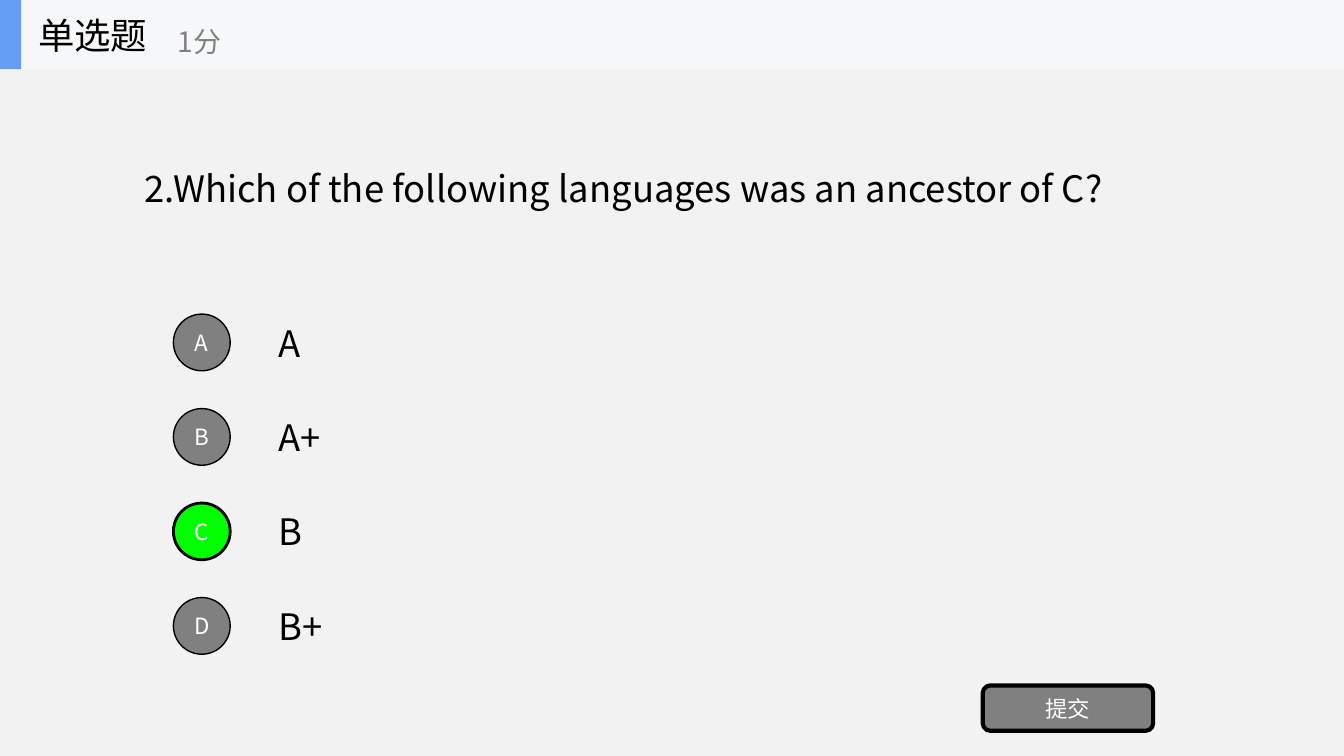
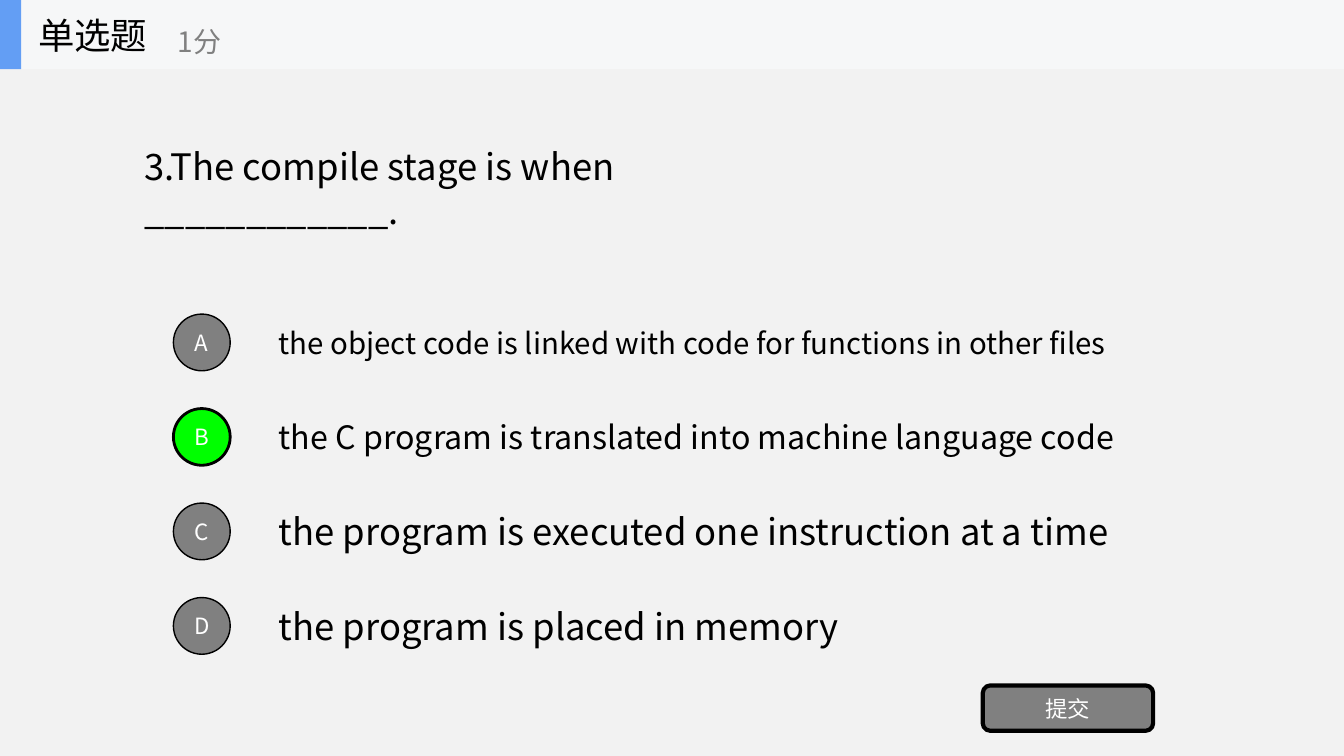
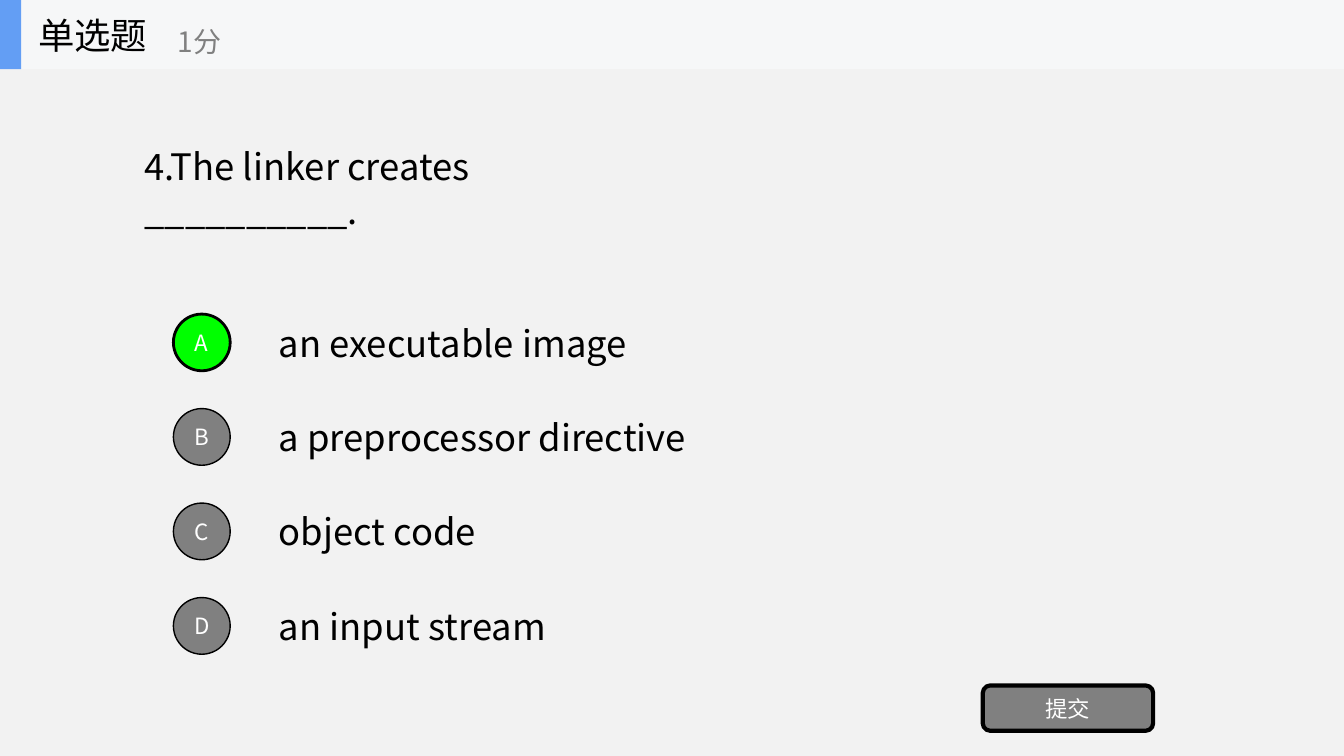
from lxml import etree
from pptx import Presentation
from pptx.dml.color import RGBColor
from pptx.enum.shapes import MSO_SHAPE
from pptx.enum.text import MSO_ANCHOR, MSO_AUTO_SIZE, PP_ALIGN
from pptx.oxml.ns import qn
from pptx.util import Inches, Pt

RECTANGLE = MSO_SHAPE.RECTANGLE
ROUNDED = MSO_SHAPE.ROUNDED_RECTANGLE
OVAL = MSO_SHAPE.OVAL
MIDDLE = MSO_ANCHOR.MIDDLE
LEFT, CENTER = PP_ALIGN.LEFT, PP_ALIGN.CENTER
FIT_SHAPE, NO_FIT = MSO_AUTO_SIZE.SHAPE_TO_FIT_TEXT, MSO_AUTO_SIZE.NONE

PAGE = RGBColor(0xF2, 0xF2, 0xF2)
BAND = RGBColor(0xF6, 0xF7, 0xF8)
ACCENT = RGBColor(0x63, 0x9E, 0xF4)
BLACK = RGBColor(0, 0, 0)
WHITE = RGBColor(0xFF, 0xFF, 0xFF)
GRAY = RGBColor(0x80, 0x80, 0x80)
CORRECT = RGBColor(0, 0xFF, 0)

FONT = "Noto Sans CJK SC"
WIDTH, HEIGHT = Inches(13.33), Inches(7.5)
COLUMNS, ROWS = 40, 24
BAND_ROWS = 2.2
QUESTION_COLUMN, QUESTION_CENTER = 4, 5.97
BADGE_COLUMN, BADGE_WIDTH, BADGE_ROWS = 5.16, 1.69, 1.8
OPTION_COLUMN, OPTION_TOP, OPTION_STEP = 8, 9.97, 3

QUIZ = [
    ("2.Which of the following languages was an ancestor of C?", 30.78, "C",
     [("A", 1.68, 26), ("A+", 2.49, 26), ("B", 1.62, 26), ("B+", 2.4, 26)]),
    ("3.The compile stage is when ____________.", 21.93, "B",
     [("the object code is linked with code for functions in other files", 26.52, 21),
      ("the C program is translated into machine language code", 26.73, 23),
      ("the program is executed one instruction at a time", 26.55, 26),
      ("the program is placed in memory", 18.24, 26)]),
    ("4.The linker creates __________.", 16.29, "A",
     [("an executable image", 11.61, 26), ("a preprocessor directive", 13.29, 26),
      ("object code", 7.02, 26), ("an input stream", 9.06, 26)]),
]


def write(frame, text, size=26, color=BLACK, align=LEFT, wrap=True, fit=NO_FIT):
    frame.word_wrap = wrap
    frame.auto_size = fit
    frame.vertical_anchor = MIDDLE
    paragraph = frame.paragraphs[0]
    paragraph.alignment = align
    run = paragraph.add_run()
    run.text = text
    run.font.size = Pt(size)
    run.font.color.rgb = color
    run.font.name = FONT
    east_asian = etree.SubElement(run._r.get_or_add_rPr(), qn("a:ea"))
    east_asian.set("typeface", FONT)


class QuizDeck:
    def __init__(self):
        self.deck = Presentation()
        self.deck.slide_width, self.deck.slide_height = WIDTH, HEIGHT
        background = self.deck.slide_master.background.fill
        background.solid()
        background.fore_color.rgb = PAGE
        self.shapes = None

    def place(self, column, row, columns, rows):
        return (round(column * WIDTH / COLUMNS), round(row * HEIGHT / ROWS),
                round(columns * WIDTH / COLUMNS), round(rows * HEIGHT / ROWS))

    def block(self, kind, area, fill, border=0, label=None):
        block = self.shapes.add_shape(kind, *self.place(*area))
        block.shadow.inherit = False
        block.fill.solid()
        block.fill.fore_color.rgb = fill
        if border:
            block.line.color.rgb = BLACK
            block.line.width = Pt(border)
        else:
            block.line.fill.background()
        if label:
            frame = block.text_frame
            frame.margin_left = frame.margin_right = 0
            write(frame, label, size=16, color=WHITE, align=CENTER)

    def text(self, text, area, **style):
        box = self.shapes.add_textbox(*self.place(*area))
        write(box.text_frame, text, **style)

    def line_of_text(self, text, column, center, columns, size=26):
        rows = (size * 1.2 / 72 + 0.1) * ROWS / HEIGHT.inches
        self.text(text, (column, center - rows / 2, columns, rows), size=size, fit=FIT_SHAPE)

    def option(self, index, letter, answer, columns, size, correct):
        top = OPTION_TOP + index * OPTION_STEP
        self.line_of_text(answer, OPTION_COLUMN, top + BADGE_ROWS / 2, columns, size)
        self.block(OVAL, (BADGE_COLUMN, top, BADGE_WIDTH, BADGE_ROWS),
                   CORRECT if correct else GRAY, border=2 if correct else 1, label=letter)

    def header(self):
        self.shapes = self.shapes.add_group_shape().shapes
        self.block(RECTANGLE, (0, 0, COLUMNS, BAND_ROWS), BAND)
        self.block(RECTANGLE, (0, 0, 0.63, BAND_ROWS), ACCENT)
        self.text("单选题", (0.84, 0, 6.24, BAND_ROWS), wrap=False)
        self.text("1分", (5, 0.4, 7.5, 1.8), size=20, color=GRAY, wrap=False)

    def question_slide(self, question, columns, correct_letter, options):
        self.shapes = self.deck.slides.add_slide(self.deck.slide_layouts[6]).shapes
        self.line_of_text(question, QUESTION_COLUMN, QUESTION_CENTER, columns)
        for index, (letter, (answer, width, size)) in enumerate(zip("ABCD", options)):
            self.option(index, letter, answer, width, size, letter == correct_letter)
        self.block(ROUNDED, (29.25, 21.76, 5.07, 1.44), GRAY, border=3, label="提交")
        self.header()


def main():
    quiz = QuizDeck()
    for entry in QUIZ:
        quiz.question_slide(*entry)
    quiz.deck.save("out.pptx")


if __name__ == "__main__":
    main()
